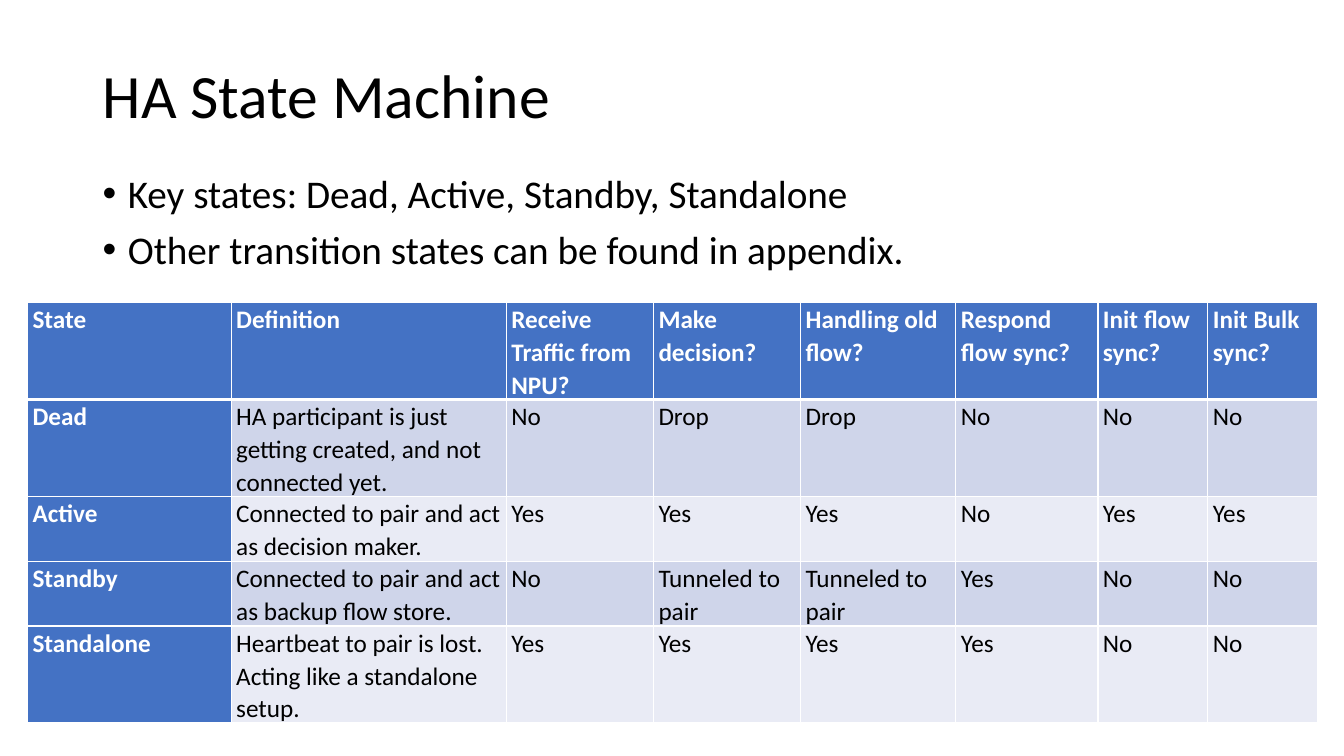
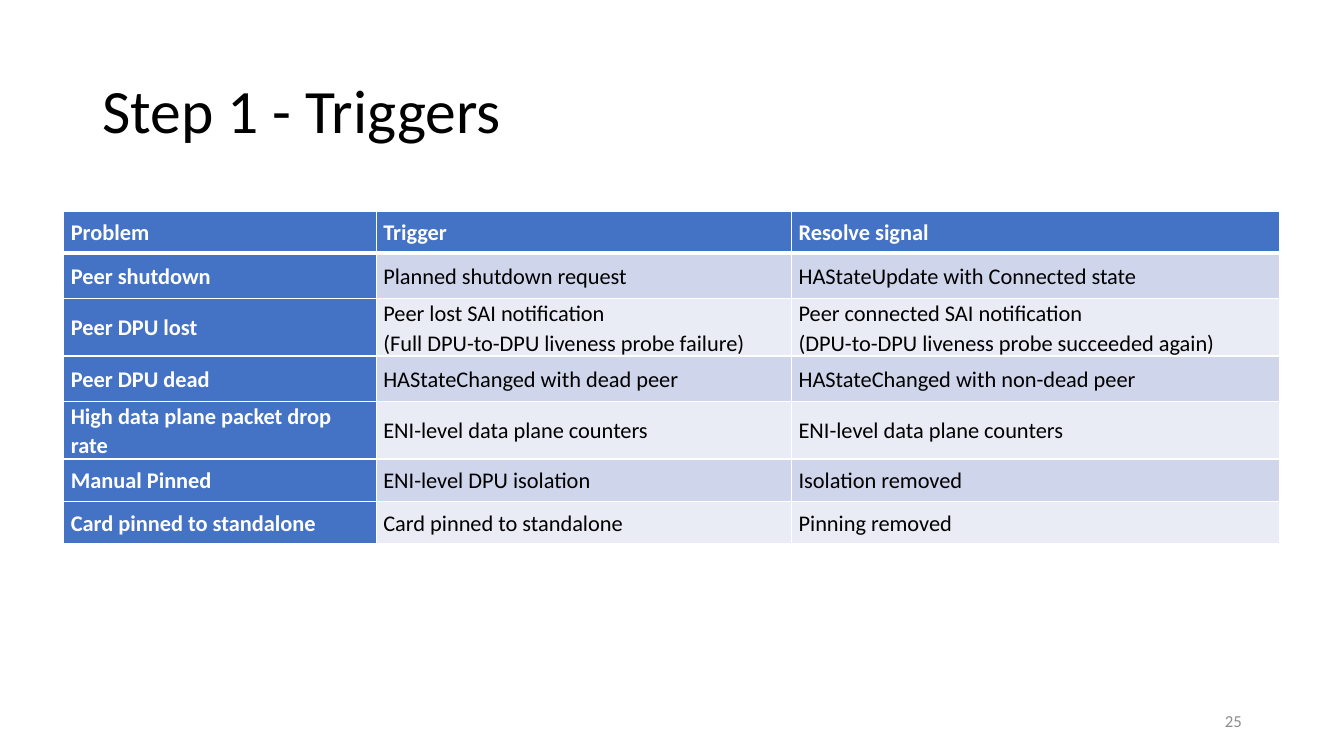
from dataclasses import dataclass

from lxml import etree
from pptx import Presentation
from pptx.dml.color import RGBColor
from pptx.enum import text
from pptx.oxml import ns
from pptx.util import Emu, Inches, Pt

COLORS = {
    "ink": "000000",
    "paper": "FFFFFF",
    "accent": "4472C4",
    "band_dark": "CFD5EA",
    "band_light": "E9EBF5",
    "muted": "8C8C8C",
}
FONT = "Calibri"
SLIDE_W, SLIDE_H = Inches(13.33), Inches(7.5)
MARGIN, CONTENT_W = 6.9, 86.25
TITLE_TOP = 5.33


@dataclass(frozen=True)
class Box:
    """Percentages of the slide's width and height."""
    left: float
    top: float
    width: float
    height: float

    def emu(self) -> tuple[Emu, ...]:
        return (across(self.left), down(self.top),
                across(self.width), down(self.height))


@dataclass(frozen=True)
class Style:
    size: int
    color: str = "ink"
    bold: bool = False
    line_spacing: float = 1.0


@dataclass(frozen=True)
class Grid:
    left: float
    top: float
    width: float
    column_weights: tuple[float, ...]
    row_heights: tuple[float, ...]
    size: int
    inset: float
    anchor: text.MSO_ANCHOR
    rows: tuple[tuple[str, ...], ...]


TITLE = Style(44, line_spacing=0.9)
BODY = Style(28, line_spacing=0.9)
PAGE_NUMBER = Style(12, "muted")

STATES = Grid(
    left=2.05, top=40, width=96,
    column_weights=(2.02, 2.73, 1.46, 1.46, 1.54, 1.41, 1.09, 1.09),
    row_heights=(6.53, 9.87, 6.53, 6.53, 9.87),
    size=18, inset=0.05, anchor=text.MSO_ANCHOR.TOP,
    rows=(
        ("State", "Definition", "Receive Traffic from NPU?", "Make decision?",
         "Handling old flow?", "Respond flow sync?", "Init flow sync?",
         "Init Bulk sync?"),
        ("Dead", "HA participant is just getting created, and not connected yet.",
         "No", "Drop", "Drop", "No", "No", "No"),
        ("Active", "Connected to pair and act as decision maker.",
         "Yes", "Yes", "Yes", "No", "Yes", "Yes"),
        ("Standby", "Connected to pair and act as backup flow store.",
         "No", "Tunneled to pair", "Tunneled to pair", "Yes", "No", "No"),
        ("Standalone", "Heartbeat to pair is lost. Acting like a standalone setup.",
         "Yes", "Yes", "Yes", "Yes", "No", "No"),
    ),
)

TRIGGERS = Grid(
    left=4.75, top=27.9, width=90.45,
    column_weights=(3.1, 4.12, 4.84),
    row_heights=(5.6, 6, 5.6, 6, 5.87, 5.6, 5.6),
    size=16, inset=0.07, anchor=text.MSO_ANCHOR.MIDDLE,
    rows=(
        ("Problem", "Trigger", "Resolve signal"),
        ("Peer shutdown", "Planned shutdown request",
         "HAStateUpdate with Connected state"),
        ("Peer DPU lost",
         "Peer lost SAI notification\n(Full DPU-to-DPU liveness probe failure)",
         "Peer connected SAI notification\n"
         "(DPU-to-DPU liveness probe succeeded again)"),
        ("Peer DPU dead", "HAStateChanged with dead peer",
         "HAStateChanged with non-dead peer"),
        ("High data plane packet drop rate", "ENI-level data plane counters",
         "ENI-level data plane counters"),
        ("Manual Pinned", "ENI-level DPU isolation", "Isolation removed"),
        ("Card pinned to standalone", "Card pinned to standalone",
         "Pinning removed"),
    ),
)


def across(share: float) -> Emu:
    return Emu(round(SLIDE_W * share / 100))


def down(share: float) -> Emu:
    return Emu(round(SLIDE_H * share / 100))


def rgb(name: str) -> RGBColor:
    return RGBColor.from_string(COLORS[name])


def format_text(tf, style: Style) -> None:
    for p in tf.paragraphs:
        p.line_spacing = style.line_spacing
        for r in p.runs:
            r.font.name = FONT
            r.font.size = Pt(style.size)
            r.font.bold = style.bold
            r.font.color.rgb = rgb(style.color)


def add_text(s, box: Box, content: str, style: Style,
             anchor: text.MSO_ANCHOR = text.MSO_ANCHOR.MIDDLE):
    tf = s.shapes.add_textbox(*box.emu()).text_frame
    tf.word_wrap = True
    tf.vertical_anchor = anchor
    tf.text = content
    format_text(tf, style)
    return tf


def add_title(s, content: str, height: float) -> None:
    add_text(s, Box(MARGIN, TITLE_TOP, CONTENT_W, height), content, TITLE)


def add_bullets(s, box: Box, items: tuple[str, ...]) -> None:
    tf = add_text(s, box, "\n".join(items), BODY, text.MSO_ANCHOR.TOP)
    for i, p in enumerate(tf.paragraphs):
        props = p._p.get_or_add_pPr()
        props.set("marL", str(Inches(0.25)))
        props.set("indent", str(-Inches(0.25)))
        if i:
            p.space_before = Pt(10)
        etree.SubElement(props, ns.qn("a:buFont")).set("typeface", "Arial")
        etree.SubElement(props, ns.qn("a:buChar")).set("char", "•")


def set_borders(cell, row: int) -> None:
    props = cell._tc.get_or_add_tcPr()
    widths = {"L": 1, "R": 1, "T": 3 if row == 1 else 1, "B": 3 if row == 0 else 1}
    for side, width in widths.items():
        ln = etree.SubElement(props, ns.qn(f"a:ln{side}"), w=str(Pt(width)))
        fill = etree.SubElement(ln, ns.qn("a:solidFill"))
        etree.SubElement(fill, ns.qn("a:srgbClr"), val=COLORS["paper"])


def add_grid(s, grid: Grid) -> None:
    box = Box(grid.left, grid.top, grid.width, sum(grid.row_heights))
    table = s.shapes.add_table(
        len(grid.rows), len(grid.column_weights), *box.emu()).table
    total = sum(grid.column_weights)
    for column, weight in zip(table.columns, grid.column_weights):
        column.width = across(grid.width * weight / total)
    for row, height in zip(table.rows, grid.row_heights):
        row.height = down(height)
    for i, values in enumerate(grid.rows):
        for j, value in enumerate(values):
            cell = table.cell(i, j)
            heading = i == 0 or j == 0
            band = "band_dark" if i % 2 else "band_light"
            set_borders(cell, i)
            cell.fill.solid()
            cell.fill.fore_color.rgb = rgb("accent" if heading else band)
            cell.margin_left = cell.margin_right = Inches(grid.inset)
            cell.margin_top = cell.margin_bottom = 0
            cell.vertical_anchor = grid.anchor
            cell.text_frame.text = value
            format_text(cell.text_frame, Style(
                grid.size, "paper" if heading else "ink", heading, 1.07))


def build_states(s) -> None:
    add_title(s, "HA State Machine", 15.47)
    add_bullets(s, Box(MARGIN, 22.4, CONTENT_W, 63.5), (
        "Key states: Dead, Active, Standby, Standalone",
        "Other transition states can be found in appendix.",
    ))
    add_grid(s, STATES)


def build_triggers(s) -> None:
    add_title(s, "Step 1 - Triggers", 19.33)
    number = add_text(s, Box(70.65, 92.67, 22.5, 5.33), "25", PAGE_NUMBER)
    number.paragraphs[0].alignment = text.PP_ALIGN.RIGHT
    add_grid(s, TRIGGERS)


def main() -> None:
    prs = Presentation()
    prs.slide_width, prs.slide_height = SLIDE_W, SLIDE_H
    for build in (build_states, build_triggers):
        build(prs.slides.add_slide(prs.slide_layouts[6]))
    prs.save("out.pptx")


if __name__ == "__main__":
    main()
